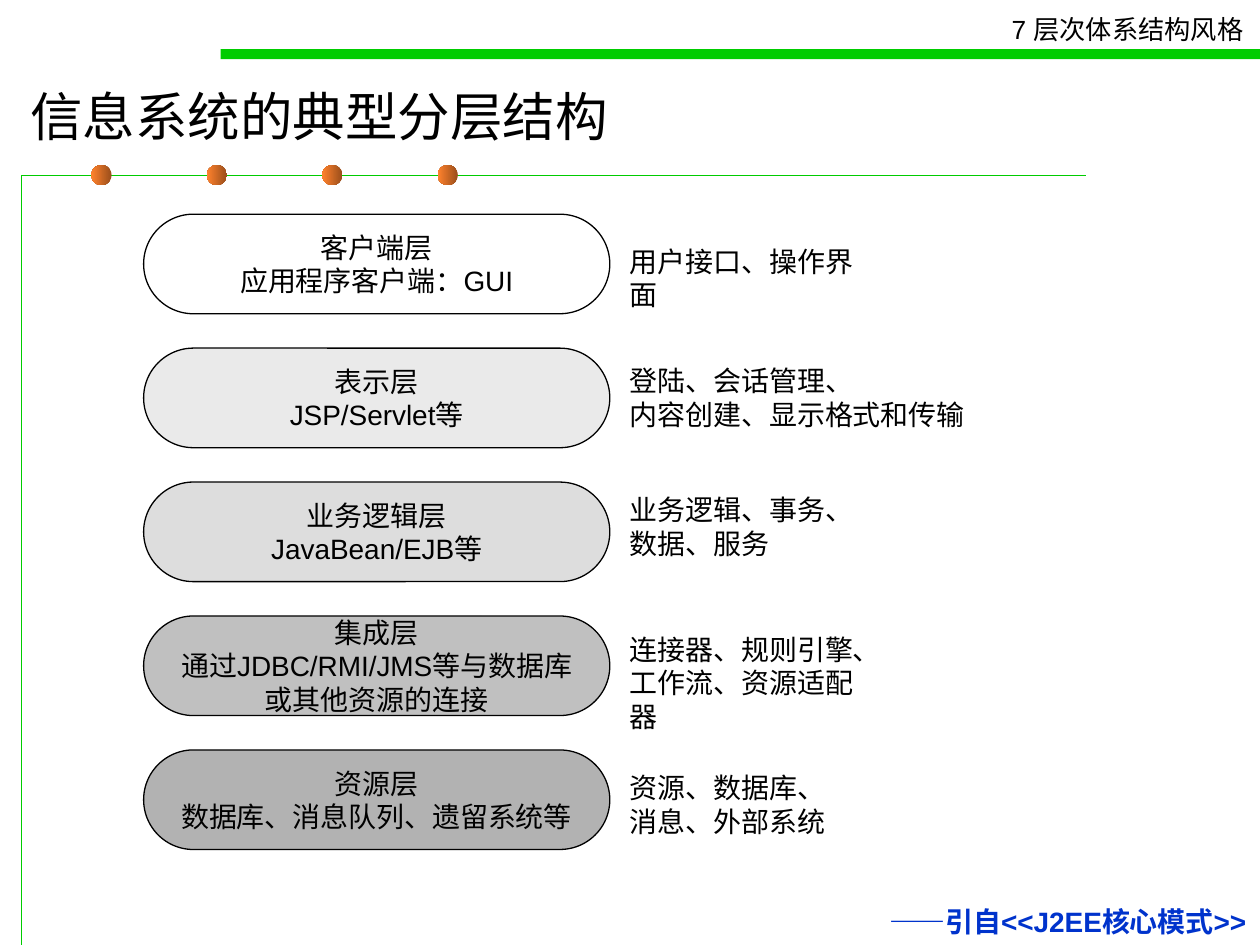
import dataclasses

import pptx
import pptx.dml.color
import pptx.enum.shapes
import pptx.enum.text
import pptx.util

RGBColor = pptx.dml.color.RGBColor
Align = pptx.enum.text.PP_ALIGN
Anchor = pptx.enum.text.MSO_ANCHOR
Fit = pptx.enum.text.MSO_AUTO_SIZE
Kind = pptx.enum.shapes.MSO_SHAPE

BLACK = RGBColor(0x00, 0x00, 0x00)
GREEN = RGBColor(0x00, 0xCC, 0x00)
BLUE = RGBColor(0x00, 0x33, 0xCC)
BROWN = RGBColor(0x9A, 0x4E, 0x1B)
ORANGE = RGBColor(0xFF, 0x82, 0x2D)

WIDTH, HEIGHT = pptx.util.Inches(10), pptx.util.Inches(7.5)
COLS, ROWS = 100, 75  # grid that all lengths below are given in


@dataclasses.dataclass
class Box:
    left: float
    top: float
    width: float
    height: float

    def emu(self) -> tuple[int, ...]:
        return (col(self.left), row(self.top), col(self.width), row(self.height))


@dataclasses.dataclass
class Layer:
    fill: RGBColor
    label: str
    note: str
    top: float  # row where the note starts
    width: float  # columns the note takes
    height: float = 6.4


LAYERS = [
    Layer(RGBColor(0xFF, 0xFF, 0xFF), "客户端层\n应用程序客户端：GUI",
          "用户接口、操作界面", 18.9, 21.9, 3.7),
    Layer(RGBColor(0xEA, 0xEA, 0xEA), "表示层\nJSP/Servlet等",
          "登陆、会话管理、\n内容创建、显示格式和传输", 28.4, 28.6),
    Layer(RGBColor(0xDD, 0xDD, 0xDD), "业务逻辑层\nJavaBean/EJB等",
          "业务逻辑、事务、\n数据、服务", 38.6, 19.7),
    Layer(RGBColor(0xC0, 0xC0, 0xC0),
          "集成层\n通过JDBC/RMI/JMS等与数据库\n或其他资源的连接",
          "连接器、规则引擎、\n工作流、资源适配器", 49.7, 21.9),
    Layer(RGBColor(0xB2, 0xB2, 0xB2), "资源层\n数据库、消息队列、遗留系统等",
          "资源、数据库、\n消息、外部系统", 60.7, 17.5),
]


def col(n: float) -> int:
    return round(WIDTH * n / COLS)


def row(n: float) -> int:
    return round(HEIGHT * n / ROWS)


def write(shape, text: str, *, size: float = 16, color: RGBColor = BLACK,
          bold: bool = False, align=Align.LEFT, anchor=Anchor.TOP,
          wrap: bool = False, fit=Fit.NONE) -> None:
    frame = shape.text_frame
    frame.text = text
    frame.word_wrap = wrap
    frame.auto_size = fit
    frame.vertical_anchor = anchor
    for par in frame.paragraphs:
        par.alignment = align
        for run in par.runs:
            font = run.font
            font.name = "Arial"
            font.size = pptx.util.Pt(size)
            font.bold = bold
            font.color.rgb = color


def label(slide, box: Box, text: str, **form) -> None:
    """Add a text box that grows with its text."""
    shape = slide.shapes.add_textbox(*box.emu())
    write(shape, text, fit=Fit.SHAPE_TO_FIT_TEXT, **form)


def solid(slide, kind: Kind, box: Box, fill: RGBColor):
    """Add a filled shape without line or shadow."""
    shape = slide.shapes.add_shape(kind, *box.emu())
    shape.shadow.inherit = False
    shape.fill.solid()
    shape.fill.fore_color.rgb = fill
    shape.line.fill.background()
    return shape


def edge(shape, color: RGBColor) -> None:
    shape.line.color.rgb = color
    shape.line.width = pptx.util.Pt(0.75)


def frame(slide) -> None:
    """Draw the thin corner line, its beads and the top bar."""
    pen = slide.shapes.build_freeform(col(1.7), row(75))
    pen.add_line_segments([(col(1.7), row(13.9)), (col(86.2), row(13.9))],
                          close=False)
    rule = pen.convert_to_shape()
    rule.shadow.inherit = False
    rule.fill.background()
    edge(rule, GREEN)

    for i in range(4):
        bead = solid(slide, Kind.OVAL, Box(7.26 + 9.16 * i, 13.1, 1.6, 1.6), BROWN)
        bead.fill.gradient()
        bead.fill.gradient_angle = 180
        for stop, color in zip(bead.fill.gradient_stops, (BROWN, ORANGE)):
            stop.color.rgb = color

    solid(slide, Kind.RECTANGLE, Box(17.5, 3.9, 82.5, 0.8), GREEN)


def draw(slide, layer: Layer, i: int) -> None:
    pill = solid(slide, Kind.ROUNDED_RECTANGLE,
                 Box(11.4, 17 + 10.63 * i, 37, 7.9), layer.fill)
    pill.adjustments[0] = 0.5
    edge(pill, BLACK)
    write(pill, layer.label, align=Align.CENTER, anchor=Anchor.MIDDLE)
    label(slide, Box(49, layer.top, layer.width, layer.height), layer.note)


def main() -> None:
    deck = pptx.Presentation()
    deck.slide_width, deck.slide_height = WIDTH, HEIGHT
    slide = deck.slides.add_slide(deck.slide_layouts[5])

    frame(slide)
    label(slide, Box(79.3, 0.6, 20.9, 3.5), "7 层次体系结构风格", size=15)

    title = slide.shapes.title
    title.left, title.top, title.width, title.height = Box(1.4, 5.6, 92.9, 7.1).emu()
    write(title, "信息系统的典型分层结构", size=30, anchor=Anchor.MIDDLE, wrap=True)

    for i, layer in enumerate(LAYERS):
        draw(slide, layer, i)
    label(slide, Box(68.8, 71.3, 31.9, 3.7), "——引自<<J2EE核心模式>>",
          color=BLUE, bold=True, align=Align.CENTER)
    deck.save("out.pptx")


if __name__ == "__main__":
    main()
